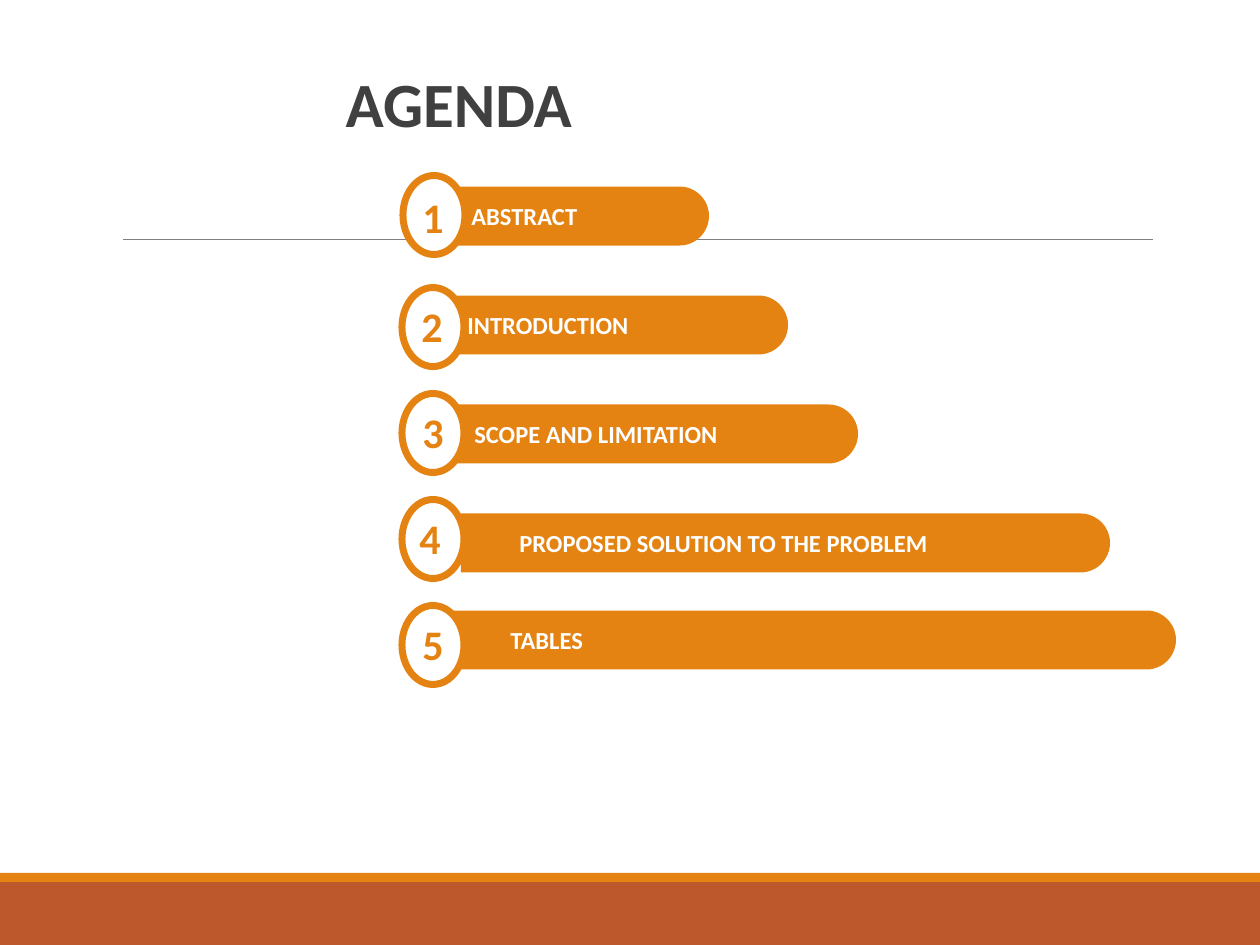
"""Build the agenda slide with five numbered bars of growing length."""
from lxml import etree
from pptx import Presentation
from pptx.dml.color import RGBColor
from pptx.enum.shapes import MSO_CONNECTOR, MSO_SHAPE
from pptx.enum.text import MSO_ANCHOR, PP_ALIGN
from pptx.oxml.ns import qn
from pptx.util import Pt

PX = 914400 // 126
COLORS = {"orange": "E48312", "rust": "BD582C", "rule": "808080",
          "title": "404040", "white": "FFFFFF"}
BAR_H, LABEL_H = 59, 43
OVAL_W, OVAL_H = 62, 79
NUM_W, NUM_H = 62, 50

ROWS = [
    ("ABSTRACT", 428, 281, 216, 459, 251, (434, 215), (402, 192)),
    ("INTRODUCTION", 428, 360, 325, 455, 321, (433, 327), (401, 301)),
    ("SCOPE AND LIMITATION", 431, 427, 434, 462, 382, (433, 433), (402, 407)),
    ("PROPOSED SOLUTION TO THE PROBLEM", 461, 649, 543, 507, 580, (433, 539), (399, 513)),
    ("TABLES", 443, 733, 640, 498, 655, (433, 645), (402, 619)),
]


def add_block(kind, x, y, w, h, fill):
    sp = s.shapes.add_shape(kind, *(int(v * PX) for v in (x, y, w, h)))
    sp.shadow.inherit = False
    sp.fill.solid()
    sp.fill.fore_color.rgb = RGBColor.from_string(COLORS[fill])
    sp.line.fill.background()
    return sp


def set_text(sp, text, size, color, align=PP_ALIGN.LEFT):
    tf = sp.text_frame
    tf.word_wrap = True
    tf.vertical_anchor = MSO_ANCHOR.MIDDLE
    p = tf.paragraphs[0]
    p.text = text
    p.alignment = align
    p.font.name = "Calibri"
    p.font.size = Pt(size)
    p.font.bold = True
    p.font.color.rgb = RGBColor.from_string(COLORS[color])
    return tf


prs = Presentation()
prs.slide_width, prs.slide_height = 1260 * PX, 945 * PX
s = prs.slides.add_slide(prs.slide_layouts[5])

add_block(MSO_SHAPE.RECTANGLE, 0, 882, 1260, 63, "rust")
add_block(MSO_SHAPE.RECTANGLE, 0, 873, 1260, 9, "orange")

rule = s.shapes.add_connector(MSO_CONNECTOR.STRAIGHT, 123 * PX, 239 * PX, 1153 * PX, 239 * PX)
rule.line.color.rgb = RGBColor.from_string(COLORS["rule"])
rule.line.width = Pt(0.5)
etree.SubElement(rule.line._ln.getparent(), qn("a:effectLst"))

title = s.shapes.title
title.left, title.top, title.width, title.height = 333 * PX, 49 * PX, 927 * PX, 106 * PX
set_text(title, "AGENDA", 36, "title")

for label, x, w, cy, label_x, label_w, _, _ in ROWS:
    bar = add_block(MSO_SHAPE.ROUND_2_SAME_RECTANGLE, x + (w - BAR_H) / 2, cy - w / 2,
                    BAR_H, w, "orange")
    bar.adjustments[0], bar.adjustments[1] = 0.5, 0
    bar.rotation = 90
    box = s.shapes.add_textbox(label_x * PX, int((cy - LABEL_H / 2) * PX),
                               label_w * PX, LABEL_H * PX)
    set_text(box, label, 14, "white")

for number, (*_, (cx, cy), (num_x, num_y)) in enumerate(ROWS, 1):
    oval = add_block(MSO_SHAPE.OVAL, cx - OVAL_W / 2, cy - OVAL_H / 2, OVAL_W, OVAL_H, "white")
    oval.line.color.rgb = RGBColor.from_string(COLORS["orange"])
    oval.line.width = Pt(4)
    box = s.shapes.add_textbox(num_x * PX, num_y * PX, NUM_W * PX, NUM_H * PX)
    tf = set_text(box, str(number), 24, "orange", PP_ALIGN.CENTER)
    tf.margin_top = tf.margin_bottom = 0

prs.save("out.pptx")
